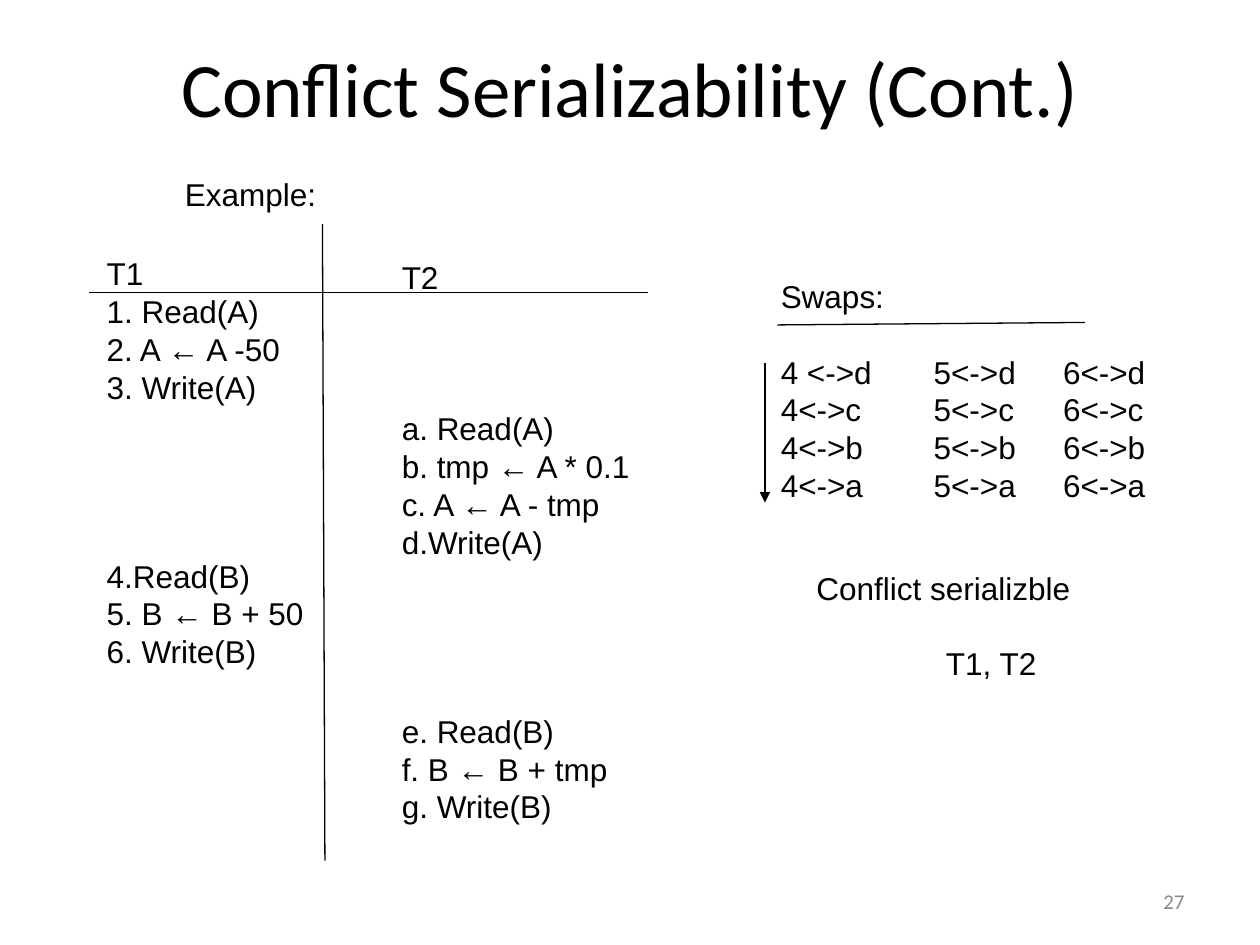
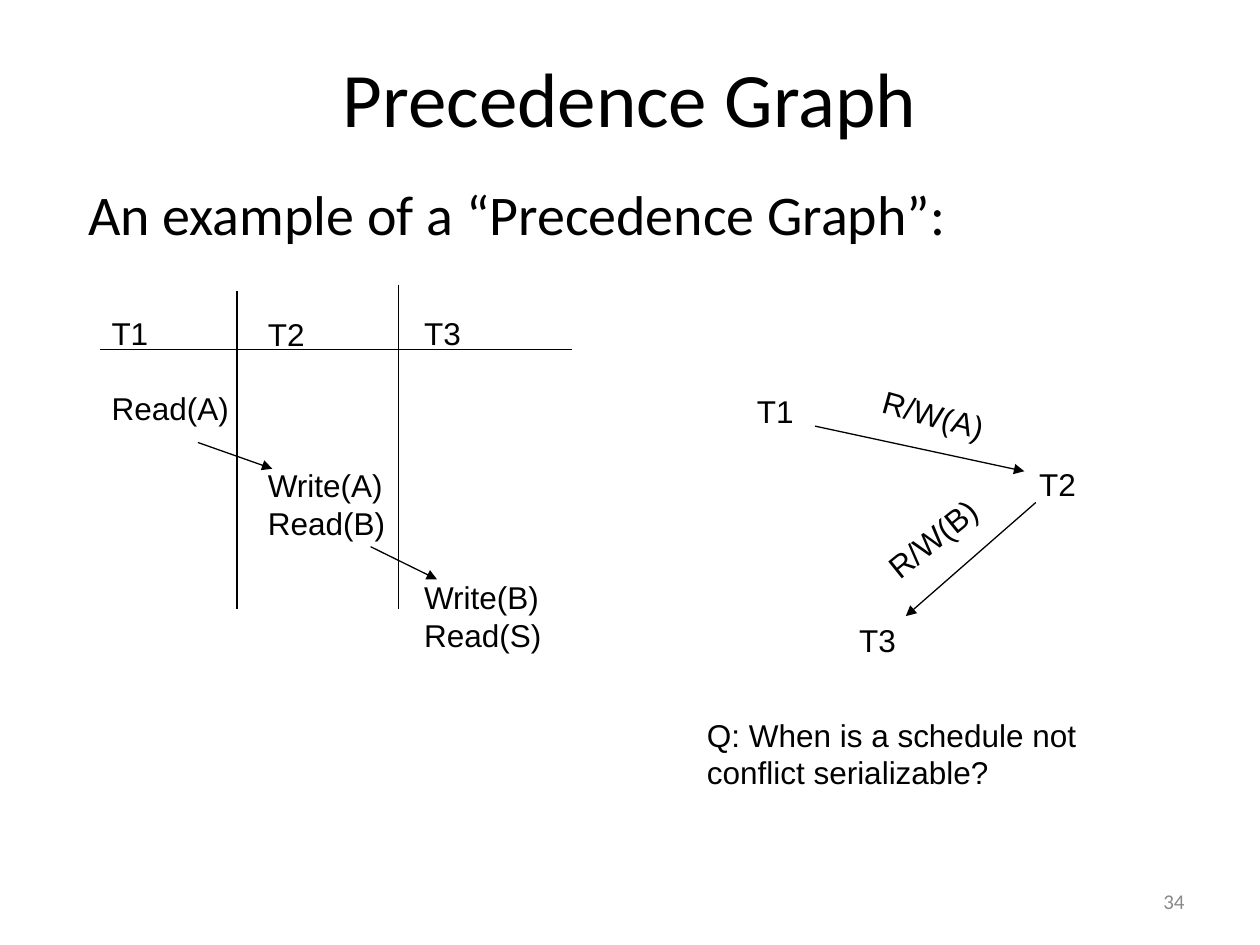
import pptx
import pptx.util
import pptx.dml.color
import pptx.enum.shapes
import pptx.enum.text
import pptx.oxml.ns
import lxml.etree

Cm, Pt = pptx.util.Cm, pptx.util.Pt
ALIGN = pptx.enum.text.PP_ALIGN
ANCHOR = pptx.enum.text.MSO_ANCHOR
AUTO_SIZE = pptx.enum.text.MSO_AUTO_SIZE

BLACK = pptx.dml.color.RGBColor(0x00, 0x00, 0x00)
GREY = pptx.dml.color.RGBColor(0x89, 0x89, 0x89)
HEAD_FONT, TEXT_FONT = "Calibri", "Arial"
LINE_PT = 21.6               # line pitch of the 18 pt text
LINE_CM = LINE_PT * 2.54 / 72
PAD_CM = 0.25                # top and bottom inset together


def style(p, size, font, color=BLACK):
    for r in p.runs:
        r.font.size = Pt(size)
        r.font.name = font
        r.font.color.rgb = color


def new_slide(prs, title, top, height, number):
    """Title-only slide with its title and slide number."""
    s = prs.slides.add_slide(prs.slide_layouts[5])
    sp = s.shapes.title
    sp.left, sp.top, sp.width, sp.height = Cm(1.27), Cm(top), Cm(22.86), Cm(height)
    tf = sp.text_frame
    tf.text = title
    tf.vertical_anchor = ANCHOR.MIDDLE
    tf.paragraphs[0].alignment = ALIGN.CENTER
    style(tf.paragraphs[0], 44, HEAD_FONT)

    tf = s.shapes.add_textbox(Cm(18.21), Cm(17.65), Cm(5.92), Cm(1.02)).text_frame
    tf.word_wrap = True
    tf.vertical_anchor = ANCHOR.MIDDLE
    tf.text = str(number)
    tf.paragraphs[0].alignment = ALIGN.RIGHT
    style(tf.paragraphs[0], 12, HEAD_FONT, GREY)
    return s


def add_lines(s, x, y, width, *lines, rotation=0):
    """Text box of single lines; a number among them skips that many lines."""
    count = sum(item if isinstance(item, int) else 1 for item in lines)
    sp = s.shapes.add_textbox(Cm(x), Cm(y), Cm(width), Cm(count * LINE_CM + PAD_CM))
    sp.rotation = rotation
    tf = sp.text_frame
    tf.word_wrap = False
    tf.auto_size = AUTO_SIZE.SHAPE_TO_FIT_TEXT
    p, skip = None, 0
    for item in lines:
        if isinstance(item, int):
            skip = item
            continue
        p = tf.paragraphs[0] if p is None else tf.add_paragraph()
        p.text = item
        p.line_spacing = Pt(LINE_PT)
        p.space_before = Pt(skip * LINE_PT)
        style(p, 18, TEXT_FONT)
        skip = 0


def add_line(s, x1, y1, x2, y2, arrow=False):
    c = s.shapes.add_connector(pptx.enum.shapes.MSO_CONNECTOR.STRAIGHT,
                               Cm(x1), Cm(y1), Cm(x2), Cm(y2))
    c.line.color.rgb = BLACK
    c.line.width = Pt(0.74)
    qn = pptx.oxml.ns.qn
    if arrow:
        lxml.etree.SubElement(c.line._get_or_add_ln(), qn("a:tailEnd"), type="triangle")
    lxml.etree.SubElement(c._element.spPr, qn("a:effectLst"))


def conflict_slide(prs):
    s = new_slide(prs, "Conflict Serializability (Cont.)", 0.43, 2.64, 27)
    add_lines(s, 3.48, 3.4, 3.2, "Example:")

    # Schedule of the two transactions
    add_lines(s, 1.9, 5, 4.5, "T1", "1. Read(A)", "2. A ← A -50", "3. Write(A)",
              4, "4.Read(B)", "5. B ← B + 50", "6. Write(B)")
    add_lines(s, 7.85, 5.08, 5.2, "T2",
              3, "a. Read(A)", "b. tmp ← A * 0.1", "c. A ← A - tmp", "d.Write(A)",
              4, "e. Read(B)", "f. B ← B + tmp", "g. Write(B)")
    add_line(s, 1.8, 5.89, 13.06, 5.89)
    add_line(s, 6.5, 4.52, 6.55, 17.35)

    # Swaps
    add_lines(s, 15.49, 5.46, 2.6, "Swaps:", 1, "4 <->d", "4<->c", "4<->b", "4<->a")
    for x, step in ((18.57, 5), (21.18, 6)):
        add_lines(s, x, 5.46 + 2 * LINE_CM, 2.2, *[f"{step}<->{op}" for op in "dcba"])
    add_line(s, 15.67, 6.55, 21.87, 6.5)
    add_line(s, 15.42, 7.32, 15.42, 10.13, arrow=True)

    # Outcome
    add_lines(s, 16.21, 11.35, 5.7, "Conflict serializble")
    add_lines(s, 18.82, 12.85, 2.4, "T1, T2")


def precedence_slide(prs):
    s = new_slide(prs, "Precedence Graph", 0.64, 2.62, 34)

    # Lead sentence
    tf = s.shapes.add_textbox(Cm(1.27), Cm(3.5), Cm(22.86), Cm(12.57)).text_frame
    tf.word_wrap = True
    tf.margin_left = Cm(0.51)
    tf.text = "An example of a “Precedence Graph”:"
    style(tf.paragraphs[0], 32, HEAD_FONT)

    # Schedule of the three transactions
    add_lines(s, 2, 6.2, 2.9, "T1", 1, "Read(A)")
    add_lines(s, 5.15, 6.22, 2.9, "T2", 3, "Write(A)", "Read(B)")
    add_lines(s, 8.3, 6.2, 2.9, "T3", 6, "Write(B)", "Read(S)")
    add_line(s, 3.99, 8.92, 5.49, 9.45, arrow=True)
    add_line(s, 7.47, 11.02, 8.81, 11.68, arrow=True)
    add_line(s, 4.78, 5.87, 4.78, 12.27)
    add_line(s, 8.03, 5.74, 8.03, 12.27)
    add_line(s, 2.01, 7.04, 11.53, 7.04)

    # Graph: nodes, edges and edge labels
    for name, x, y in (("T1", 15.01, 7.77), ("T2", 20.7, 9.25), ("T3", 17.07, 12.4)):
        add_lines(s, x, y, 1.3, name)
    add_line(s, 16.43, 8.59, 20.65, 9.5, arrow=True)
    add_line(s, 20.88, 10.13, 18.26, 12.42, arrow=True)
    add_lines(s, 17.53, 7.85, 2.6, "R/W(A)", rotation=15.6)
    add_lines(s, 17.5, 10.34, 2.6, "R/W(B)", rotation=321.2)

    # Question
    add_lines(s, 14, 14.3, 8, "Q: When is a schedule not", "conflict serializable?")


def main():
    prs = pptx.Presentation()
    prs.slide_width, prs.slide_height = Cm(25.4), Cm(19.05)
    conflict_slide(prs)
    precedence_slide(prs)
    prs.save("out.pptx")


main()
